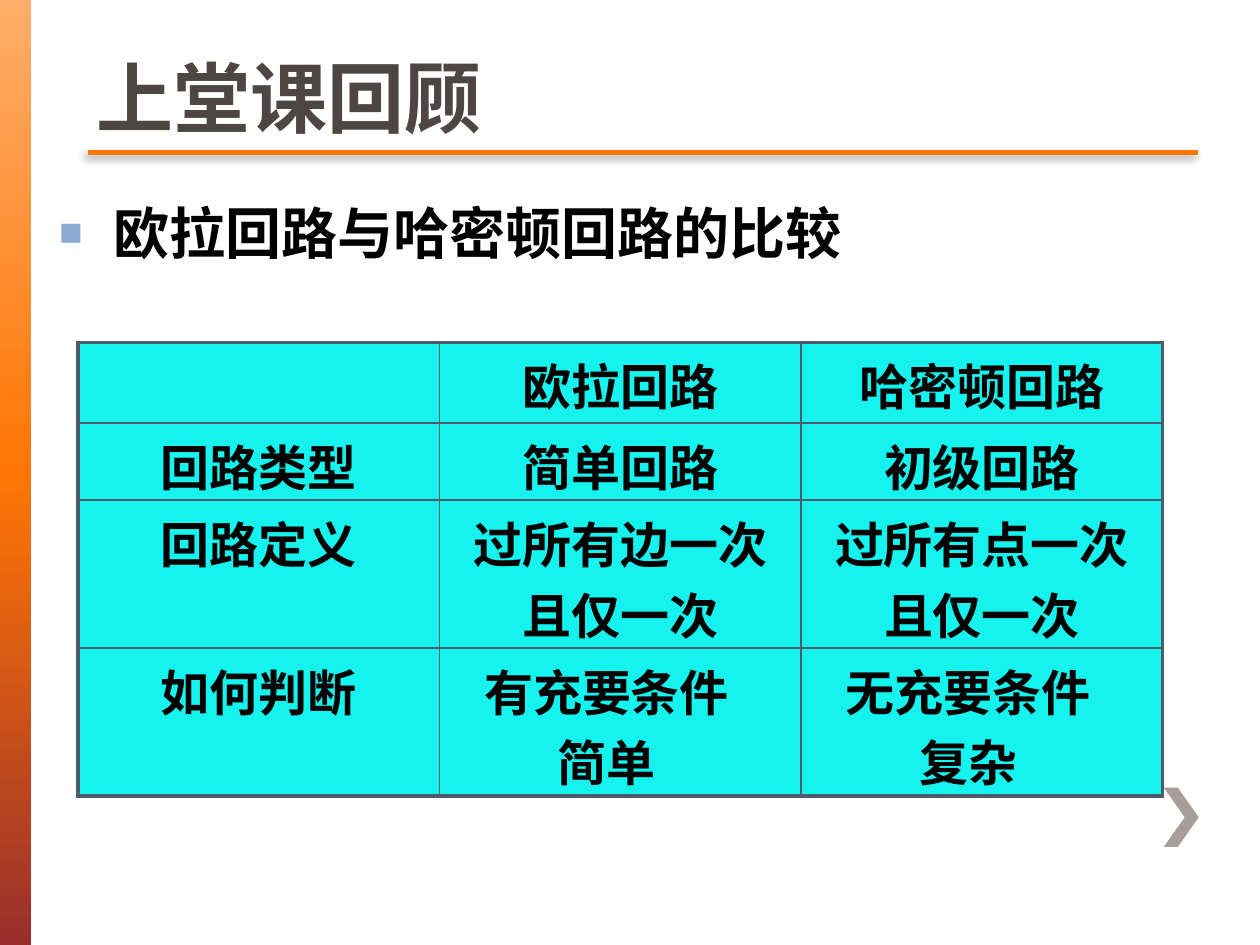
from dataclasses import dataclass

from lxml import etree
from pptx import Presentation
from pptx.dml.color import RGBColor
from pptx.enum.shapes import MSO_CONNECTOR, MSO_SHAPE
from pptx.enum.text import MSO_ANCHOR, MSO_AUTO_SIZE, PP_ALIGN
from pptx.oxml import parse_xml
from pptx.oxml.ns import nsdecls, qn
from pptx.util import Pt

LEFT, CENTER = PP_ALIGN.LEFT, PP_ALIGN.CENTER
TOP, MIDDLE, BOTTOM = MSO_ANCHOR.TOP, MSO_ANCHOR.MIDDLE, MSO_ANCHOR.BOTTOM
RECTANGLE, STRAIGHT = MSO_SHAPE.RECTANGLE, MSO_CONNECTOR.STRAIGHT


@dataclass(frozen=True)
class Theme:
    title_font: str = "Arial"
    body_font: str = "Times New Roman"
    title_size: int = 44
    list_size: int = 32
    cell_size: int = 28
    title: str = "4D4643"
    title_outline: str = "675D59"
    text: str = "000000"
    accent: str = "FF7605"
    bullet: str = "89AAD3"
    chevron: str = "A79D99"
    cell: str = "16F3EE"
    border: str = "4D5B6B"
    bar: tuple = ((0, "FFAD69"), (50, "FF7605"), (100, "9A2F2C"))


def solid(color):
    return f'<a:solidFill><a:srgbClr val="{color}"/></a:solidFill>'


def write(p, text, *, font, size, color, bold=True, align=LEFT):
    p.alignment = align
    p.space_before = Pt(0)
    r = p.add_run()
    r.text = text
    r.font.name, r.font.size, r.font.bold = font, Pt(size), bold
    r.font.color.rgb = RGBColor.from_string(color)
    return r


def place(s, x, y, w, h):
    s.left, s.top, s.width, s.height = Pt(x), Pt(y), Pt(w), Pt(h)


class Deck:
    """Holds the theme and the slide that is being filled."""

    def __init__(self, slide, theme):
        self.slide, self.theme = slide, theme
        self.shapes = slide.shapes

    def gradient_bar(self, x, y, w, h):
        s = self.shapes.add_shape(RECTANGLE, Pt(x), Pt(y), Pt(w), Pt(h))
        s.shadow.inherit = False
        s.line.fill.background()
        stops = "".join(f'<a:gs pos="{pos * 1000}"><a:srgbClr val="{color}"/></a:gs>'
                        for pos, color in self.theme.bar)
        s._element.spPr.find(qn("a:prstGeom")).addnext(parse_xml(
            f'<a:gradFill {nsdecls("a")} rotWithShape="1"><a:gsLst>{stops}</a:gsLst>'
            '<a:lin ang="5400000" scaled="0"/></a:gradFill>'))

    def chevron(self, x, y, w, h, thickness):
        tip, mid = x + w, y + h / 2
        notch = tip - thickness
        fb = self.shapes.build_freeform(x + thickness, y, scale=Pt(1))
        fb.add_line_segments([(x, y), (notch, mid), (x, y + h),
                              (x + thickness, y + h), (tip, mid)], close=True)
        s = fb.convert_to_shape()
        s.shadow.inherit = False
        s.fill.solid()
        s.fill.fore_color.rgb = RGBColor.from_string(self.theme.chevron)
        s.line.fill.background()

    def rule(self, x1, x2, y, width):
        s = self.shapes.add_connector(STRAIGHT, Pt(x1), Pt(y), Pt(x2), Pt(y))
        s.line.color.rgb = RGBColor.from_string(self.theme.accent)
        s.line.width = Pt(width)
        s._element.spPr.append(parse_xml(
            f'<a:effectLst {nsdecls("a")}><a:outerShdw blurRad="{Pt(5)}" dist="{Pt(3)}" '
            'dir="8100000" rotWithShape="0"><a:srgbClr val="000000">'
            '<a:alpha val="45000"/></a:srgbClr></a:outerShdw></a:effectLst>'))

    def title(self, text, box):
        t, s = self.theme, self.shapes.title
        place(s, *box)
        tf = s.text_frame
        tf.auto_size, tf.vertical_anchor = MSO_AUTO_SIZE.NONE, BOTTOM
        tf.margin_bottom = 0
        r = write(tf.paragraphs[0], text, font=t.title_font, size=t.title_size,
                  color=t.title)
        r.font._element.insert(0, parse_xml(
            f'<a:ln {nsdecls("a")} w="{Pt(1)}">{solid(t.title_outline)}</a:ln>'))

    def bullets(self, items, box, indent):
        t, s = self.theme, self.slide.placeholders[1]
        place(s, *box)
        tf = s.text_frame
        tf.auto_size, tf.vertical_anchor = MSO_AUTO_SIZE.NONE, MIDDLE
        tf.margin_top = tf.margin_bottom = 0
        for i, item in enumerate(items):
            p = tf.add_paragraph() if i else tf.paragraphs[0]
            pPr = p._p.get_or_add_pPr()
            pPr.set("marL", str(Pt(indent)))
            pPr.set("indent", str(Pt(-indent)))
            color = etree.SubElement(pPr, qn("a:buClr"))
            etree.SubElement(color, qn("a:srgbClr"), val=t.bullet)
            etree.SubElement(pPr, qn("a:buSzPct"), val="70000")
            etree.SubElement(pPr, qn("a:buFont"), typeface=t.body_font)
            etree.SubElement(pPr, qn("a:buChar"), char="■")
            write(p, item, font=t.body_font, size=t.list_size, color=t.text)

    def borders(self, cell, widths):
        tcPr = cell._tc.get_or_add_tcPr()
        for i, (side, width) in enumerate(widths.items()):
            tcPr.insert(i, parse_xml(f'<a:ln{side} {nsdecls("a")} w="{Pt(width)}">'
                                     f'{solid(self.theme.border)}</a:ln{side}>'))

    def table(self, rows, x, y, col_width, heights, outer=2.25, inner=1):
        t, n_rows, n_cols = self.theme, len(rows), len(rows[0])
        table = self.shapes.add_table(n_rows, n_cols, Pt(x), Pt(y),
                                      Pt(col_width * n_cols), Pt(sum(heights))).table
        table.first_row = table.horz_banding = False
        for col in table.columns:
            col.width = Pt(col_width)
        for i, (row, height) in enumerate(zip(rows, heights)):
            table.rows[i].height = Pt(height)
            for j, text in enumerate(row):
                cell = table.cell(i, j)
                cell.fill.solid()
                cell.fill.fore_color.rgb = RGBColor.from_string(t.cell)
                cell.vertical_anchor = TOP
                cell.margin_bottom = 0
                edges = {"L": j == 0, "R": j == n_cols - 1,
                         "T": i == 0, "B": i == n_rows - 1}
                self.borders(cell, {k: outer if edge else inner
                                    for k, edge in edges.items()})
                lines = text.split("\n")
                if len(lines) > 1:
                    cell.margin_right = Pt(23)
                p = cell.text_frame.paragraphs[0]
                for k, line in enumerate(lines):
                    if k:
                        p.add_line_break()
                    write(p, line, font=t.body_font, size=t.cell_size,
                          color=t.text, align=CENTER)


def main():
    prs = Presentation()
    prs.slide_width, prs.slide_height = Pt(720), Pt(540)
    deck = Deck(prs.slides.add_slide(prs.slide_layouts[1]), Theme())
    deck.gradient_bar(0, 0, 18, 540)
    deck.chevron(665.3, 450, 19.4, 33.8, thickness=7.9)
    deck.rule(50.4, 684.7, 87.1, width=2.5)
    deck.title("上堂课回顾", (48.2, 0, 634.3, 81.4))
    deck.bullets(["欧拉回路与哈密顿回路的比较"], (26.6, 110.2, 494, 45.4), indent=31)
    deck.table([
        ["", "欧拉回路", "哈密顿回路"],
        ["回路类型", "简单回路", "初级回路"],
        ["回路定义", "过所有边一次且仅一次", "过所有点一次且仅一次"],
        ["如何判断", "有充要条件\n简单", "无充要条件\n复杂"],
    ], 44.6, 195.8, col_width=206.6, heights=[46, 40, 80, 80])
    prs.save("out.pptx")


if __name__ == "__main__":
    main()
